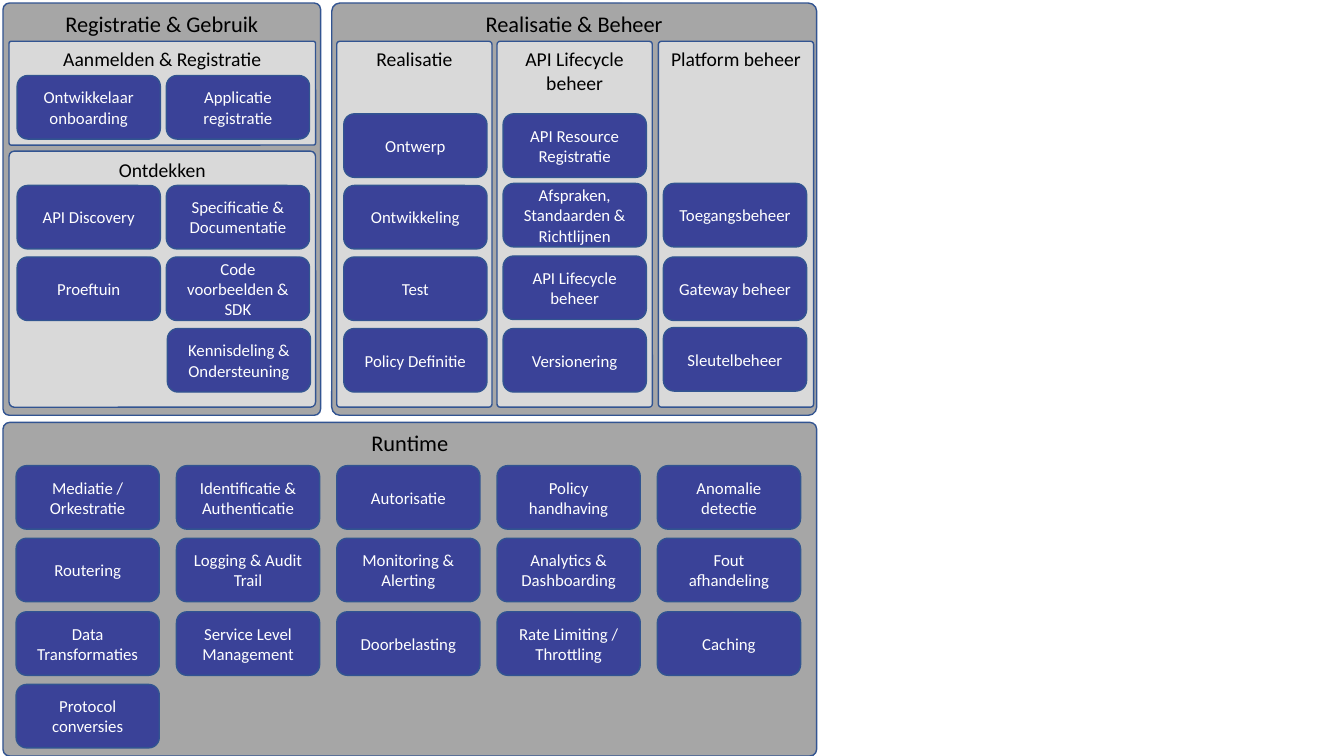
"""Build a one-slide map of API platform capabilities."""
from pptx import Presentation
from pptx.dml.color import RGBColor
from pptx.enum.shapes import MSO_SHAPE as Shape
from pptx.enum.text import MSO_ANCHOR as Anchor, PP_ALIGN as Align
from pptx.util import Pt

PX = 9144
GREY = RGBColor(0xA6, 0xA6, 0xA6)
PALE = RGBColor(0xD9, 0xD9, 0xD9)
BLUE = RGBColor(0x3A, 0x42, 0x98)
EDGE = RGBColor(0x32, 0x54, 0x91)
BLACK = RGBColor(0, 0, 0)
WHITE = RGBColor(255, 255, 255)

deck = Presentation()
deck.slide_width, deck.slide_height = 1333 * PX, 750 * PX
slide = deck.slides.add_slide(deck.slide_layouts[6])


def add_box(text, left, top, width, height, fill, size, color, anchor):
    box = slide.shapes.add_shape(
        Shape.ROUNDED_RECTANGLE, left * PX, top * PX, width * PX, height * PX)
    box.shadow.inherit = False
    box.fill.solid()
    box.fill.fore_color.rgb = fill
    box.line.color.rgb = EDGE
    box.line.width = Pt(1)
    frame = box.text_frame
    frame.word_wrap = True
    frame.vertical_anchor = anchor
    frame.text = text
    for para in frame.paragraphs:
        para.alignment = Align.CENTER
        font = para.runs[0].font
        font.name, font.size, font.color.rgb = "Calibri", Pt(size), color
    return box


def add_tile(text, left, top):
    add_box(text, left, top, 142, 63, BLUE, 12, WHITE, Anchor.MIDDLE)


panels = [
    ("Registratie & Gebruik", 3, 3, 315, 409, GREY, 16),
    ("Realisatie & Beheer", 329, 3, 481, 409, GREY, 16),
    ("Runtime", 3, 419, 807, 331, GREY, 16),
    ("Aanmelden & Registratie", 9, 41, 304, 103, PALE, 14),
    ("Ontdekken", 9, 150, 304, 254, PALE, 14),
    ("Realisatie", 334, 41, 154, 363, PALE, 14),
    ("API Lifecycle beheer", 493, 41, 154, 363, PALE, 14),
    ("Platform beheer", 653, 41, 154, 363, PALE, 14),
]
for *place, fill, size in panels:
    panel = add_box(*place, fill, size, BLACK, Anchor.TOP)
    panel.adjustments[0] = 0.02

stacks = [
    (17, [("Ontwikkelaar onboarding", 75), ("API Discovery", 184),
          ("Proeftuin", 255)]),
    (165, [("Applicatie registratie", 75),
           ("Specificatie & Documentatie", 184),
           ("Code voorbeelden & SDK", 255)]),
    (166, [("Kennisdeling & Ondersteuning", 326)]),
    (341, [("Ontwerp", 113), ("Ontwikkeling", 184), ("Test", 255),
           ("Policy Definitie", 326)]),
    (499, [("API Resource Registratie", 113),
           ("Afspraken, Standaarden & Richtlijnen", 182),
           ("API Lifecycle beheer", 254), ("Versionering", 326)]),
    (658, [("Toegangsbeheer", 182), ("Gateway beheer", 255),
           ("Sleutelbeheer", 325)]),
]
for left, tiles in stacks:
    for text, top in tiles:
        add_tile(text, left, top)

runtime = [
    ["Mediatie / Orkestratie", "Identificatie & Authenticatie",
     "Autorisatie", "Policy handhaving", "Anomalie detectie"],
    ["Routering", "Logging & Audit Trail", "Monitoring & Alerting",
     "Analytics & Dashboarding", "Fout\nafhandeling"],
    ["Data Transformaties", "Service Level Management", "Doorbelasting",
     "Rate Limiting / Throttling", "Caching"],
    ["Protocol conversies"],
]
for row, names in enumerate(runtime):
    for col, text in enumerate(names):
        add_tile(text, 16 + 159 * col, 462 + round(72.4 * row))

deck.save("out.pptx")
